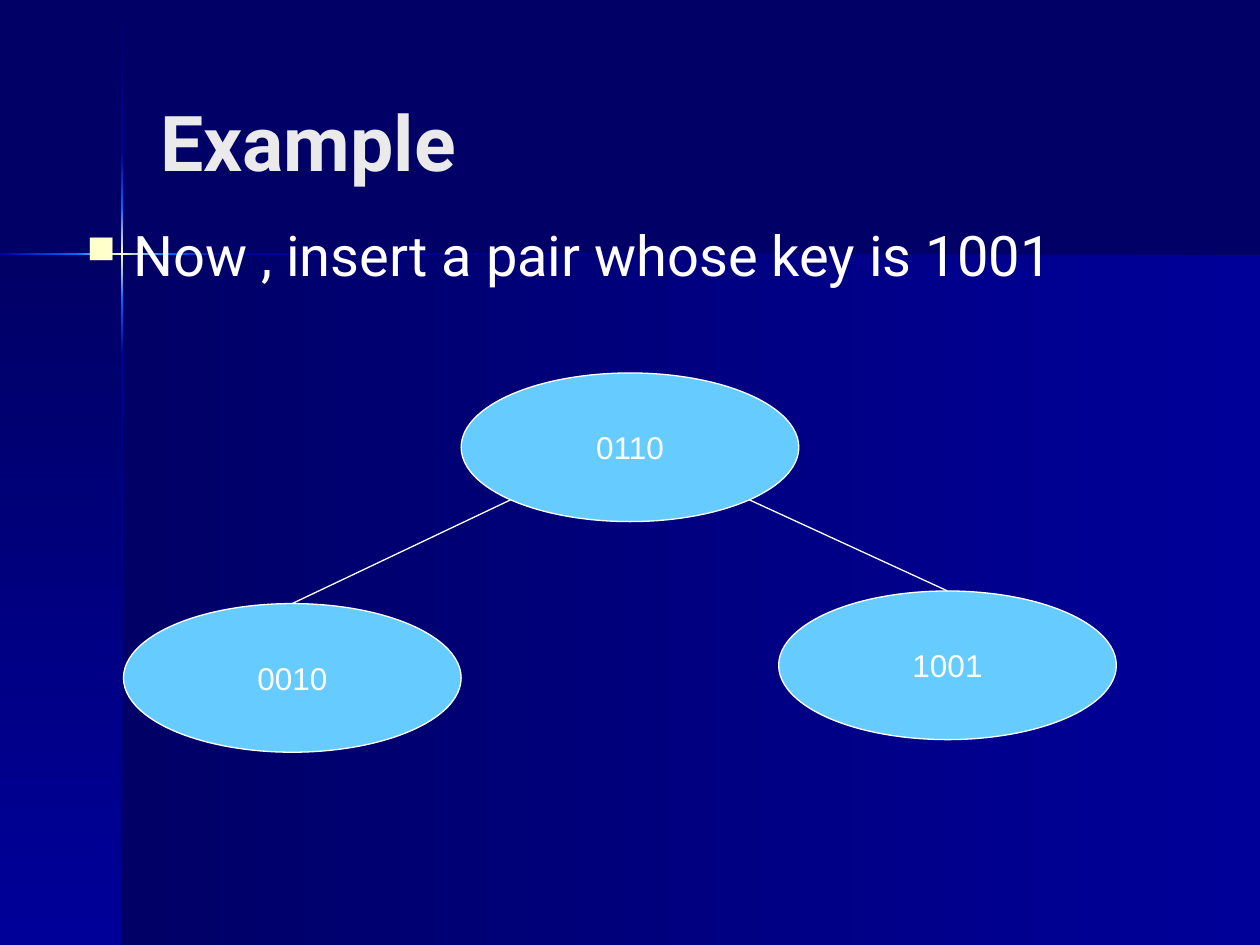
from copy import deepcopy
from dataclasses import dataclass
from math import sqrt

from lxml.etree import SubElement
from pptx import Presentation
from pptx.dml.color import RGBColor
from pptx.enum.shapes import MSO_CONNECTOR as Connector, MSO_SHAPE as Preset
from pptx.enum.text import MSO_ANCHOR as Anchor, MSO_AUTO_SIZE as AutoSize, PP_ALIGN as Align
from pptx.oxml.ns import qn
from pptx.util import Inches, Pt

COLUMNS, ROWS = 100, 75
NAVY, BLUE, BRIGHT, CREAM = "000066", "000099", "0066FF", "FFFFCC"
WHITE, SKY, SILVER = "FFFFFF", "66CCFF", "EAEAEA"
DOWN, LEFTWARD = 270, 180
CROSS_X, CROSS_Y, BEAM = 9.6, 20.1, 0.16
NODE_WIDTH, NODE_HEIGHT = 26.8, 11.8


@dataclass(frozen=True)
class Band:
    column: float
    row: float
    width: float
    height: float
    colours: tuple[str, ...]
    direction: int


@dataclass(frozen=True)
class Node:
    key: str
    column: float
    row: float


def vertical_beam(top: float, bottom: float, *colours: str) -> Band:
    return Band(CROSS_X, top, BEAM, bottom - top, colours, DOWN)


def horizontal_beam(left: float, right: float, *colours: str) -> Band:
    return Band(left, CROSS_Y, right - left, BEAM, colours, LEFTWARD)


BANDS = (
    Band(9.7, 20.2, 90.3, 54.8, (BLUE, NAVY), LEFTWARD),
    Band(0, 20.2, 9.7, 54.8, (NAVY, BLUE), DOWN),
    vertical_beam(0, 12.1, NAVY, BLUE),
    vertical_beam(28.2, ROWS, BLUE, NAVY),
    horizontal_beam(17.7, COLUMNS, NAVY, BLUE),
    vertical_beam(23.8, 28.2, BRIGHT, BLUE),
    vertical_beam(12.1, 16.5, BLUE, BRIGHT),
    vertical_beam(16.5, 23.8, BRIGHT, CREAM, BRIGHT),
    horizontal_beam(0, 6.1, BRIGHT, BLUE),
    horizontal_beam(13.3, 17.7, BLUE, BRIGHT),
    horizontal_beam(6, 13.3, BRIGHT, CREAM, BRIGHT),
)
ROOT = Node("0110", 36.6, 29.6)
CHILDREN = (Node("0010", 9.8, 47.9), Node("1001", 61.8, 46.9))

presentation = Presentation()
presentation.slide_width, presentation.slide_height = Inches(10), Inches(7.5)


def across(columns: float) -> int:
    return round(presentation.slide_width * columns / COLUMNS)


def down(rows: float) -> int:
    return round(presentation.slide_height * rows / ROWS)


def box(column: float, row: float, width: float, height: float) -> tuple[int, ...]:
    return across(column), down(row), across(width), down(height)


def colour(hex_code: str) -> RGBColor:
    return RGBColor.from_string(hex_code)


def write(paragraph, text: str, font: str, size: float, hex_code: str, bold: bool = False) -> None:
    run = paragraph.add_run()
    run.text = text
    run.font.name, run.font.size, run.font.bold = font, Pt(size), bold
    run.font.color.rgb = colour(hex_code)


def add_band(slide, band: Band) -> None:
    shape = slide.shapes.add_shape(
        Preset.RECTANGLE, *box(band.column, band.row, band.width, band.height))
    shape.shadow.inherit = False
    shape.line.fill.background()
    shape.fill.gradient()
    shape.fill.gradient_angle = band.direction
    stop_list = shape._element.spPr.find(".//" + qn("a:gsLst"))
    for _ in band.colours[2:]:
        stop_list.insert(1, deepcopy(stop_list[0]))
    for index, (stop, hex_code) in enumerate(zip(shape.fill.gradient_stops, band.colours)):
        stop.position = index / (len(band.colours) - 1)
        stop.color.rgb = colour(hex_code)


def add_title(slide, text: str) -> None:
    title = slide.shapes.title
    title.left, title.top, title.width, title.height = box(11.7, 3.3, 82.5, 15.7)
    frame = title.text_frame
    frame.auto_size, frame.vertical_anchor = AutoSize.NONE, Anchor.MIDDLE
    frame.paragraphs[0].alignment = Align.LEFT
    write(frame.paragraphs[0], text, "Roboto", 44, SILVER, bold=True)


def add_bullet(slide, text: str) -> None:
    frame = slide.shapes.add_textbox(*box(5.9, 17, 90, 49.5)).text_frame
    frame.word_wrap = True
    paragraph = frame.paragraphs[0]
    paragraph.space_before = Pt(8)
    properties = paragraph._p.get_or_add_pPr()
    properties.set("marL", str(across(3.7)))
    properties.set("indent", str(-across(3.7)))
    bullet_colour = SubElement(properties, qn("a:buClr"))
    SubElement(bullet_colour, qn("a:srgbClr"), val=CREAM)
    SubElement(properties, qn("a:buSzPct"), val="70000")
    SubElement(properties, qn("a:buChar"), char="■")
    write(paragraph, text, "Roboto", 32, WHITE)


def add_node(slide, node: Node):
    shape = slide.shapes.add_shape(
        Preset.OVAL, *box(node.column, node.row, NODE_WIDTH, NODE_HEIGHT))
    shape.shadow.inherit = False
    shape.fill.solid()
    shape.fill.fore_color.rgb = colour(SKY)
    shape.line.color.rgb = colour(WHITE)
    shape.line.width = Pt(0.75)
    frame = shape.text_frame
    frame.word_wrap, frame.vertical_anchor = False, Anchor.MIDDLE
    frame.paragraphs[0].alignment = Align.CENTER
    write(frame.paragraphs[0], node.key, "Arial", 18, WHITE)
    return shape


def add_branch(slide, parent, child) -> None:
    side = 1 if child.left > parent.left else -1
    start_x = round(parent.left + parent.width / 2 * (1 + side / sqrt(2)))
    start_y = round(parent.top + parent.height / 2 * (1 + 1 / sqrt(2)))
    branch = slide.shapes.add_connector(
        Connector.STRAIGHT, start_x, start_y, child.left + child.width // 2, child.top)
    branch.end_connect(child, 0)
    branch.line.color.rgb = colour(WHITE)
    branch.line.width = Pt(0.75)
    SubElement(branch._element.spPr, qn("a:effectLst"))


def main() -> None:
    slide = presentation.slides.add_slide(presentation.slide_layouts[5])
    slide.background.fill.solid()
    slide.background.fill.fore_color.rgb = colour(NAVY)
    for band in BANDS:
        add_band(slide, band)
    add_title(slide, "Example")
    add_bullet(slide, "Now , insert a pair whose key is 1001")
    root = add_node(slide, ROOT)
    for child in CHILDREN:
        add_branch(slide, root, add_node(slide, child))
    presentation.save("out.pptx")


if __name__ == "__main__":
    main()
